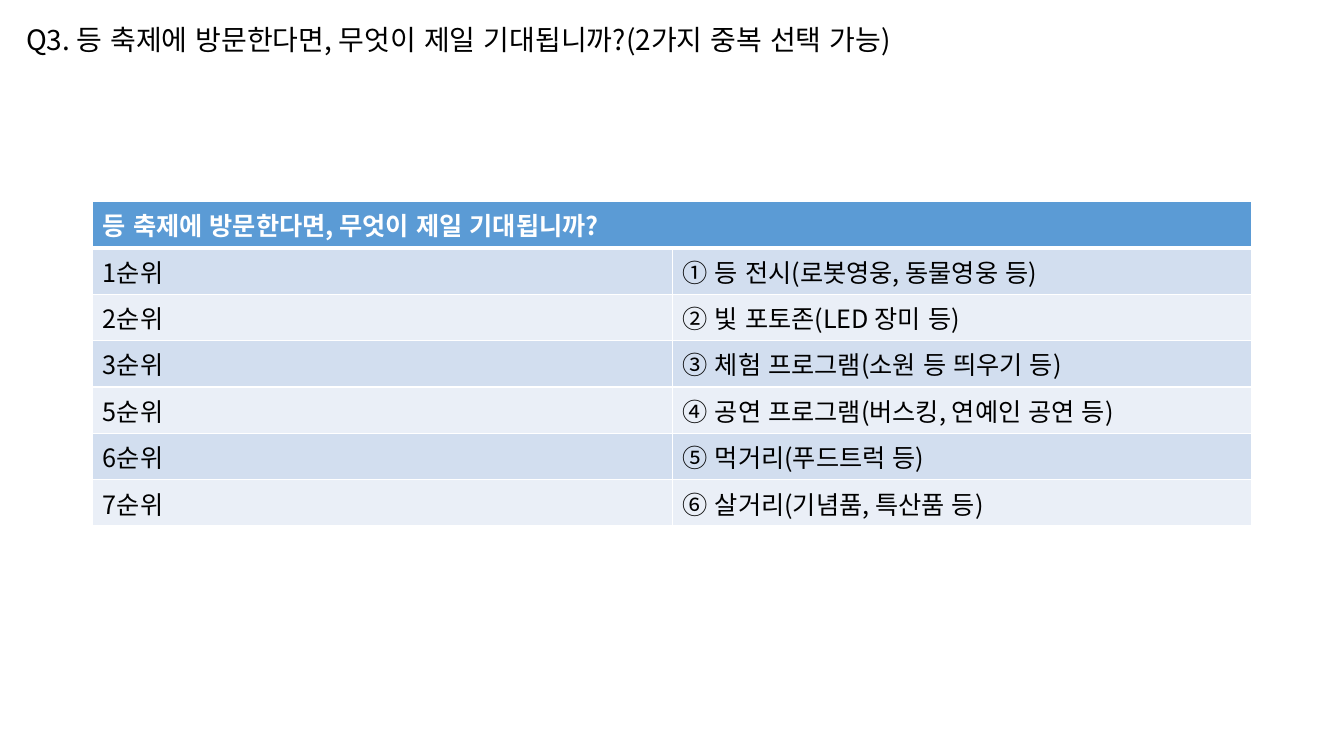
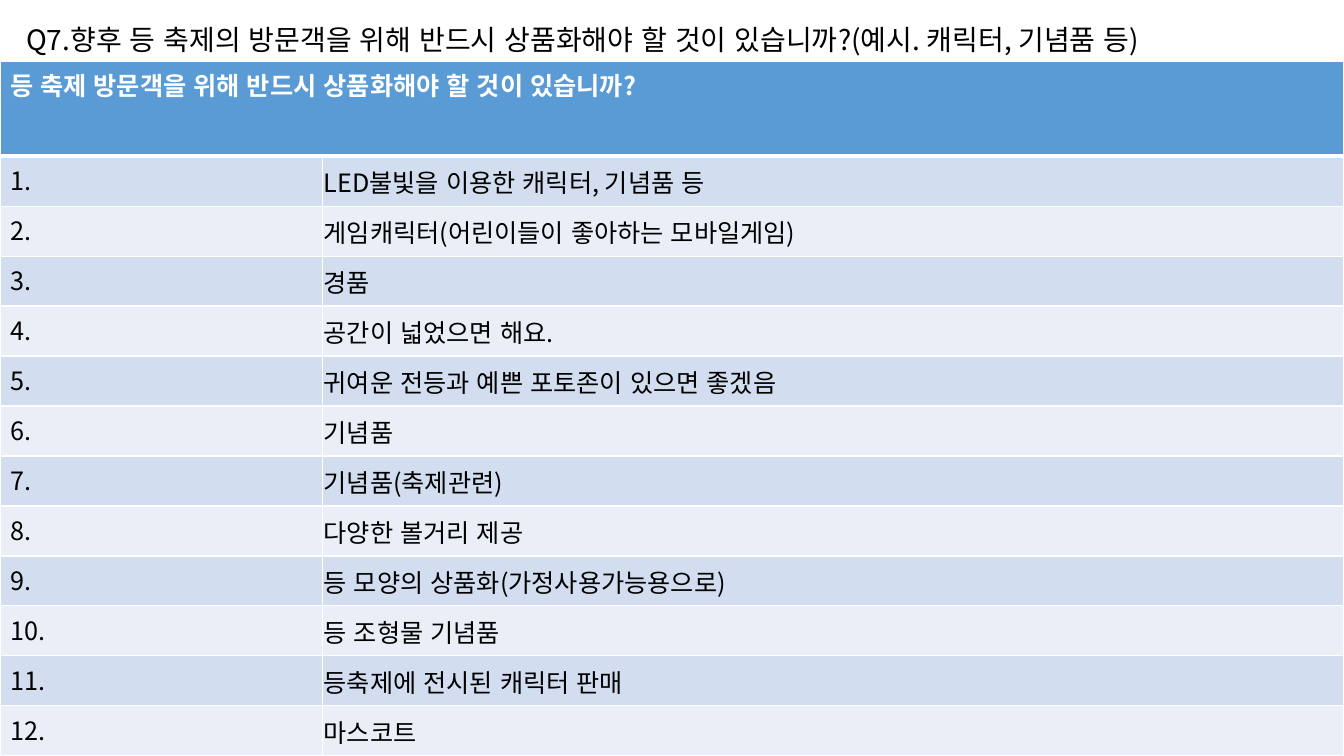
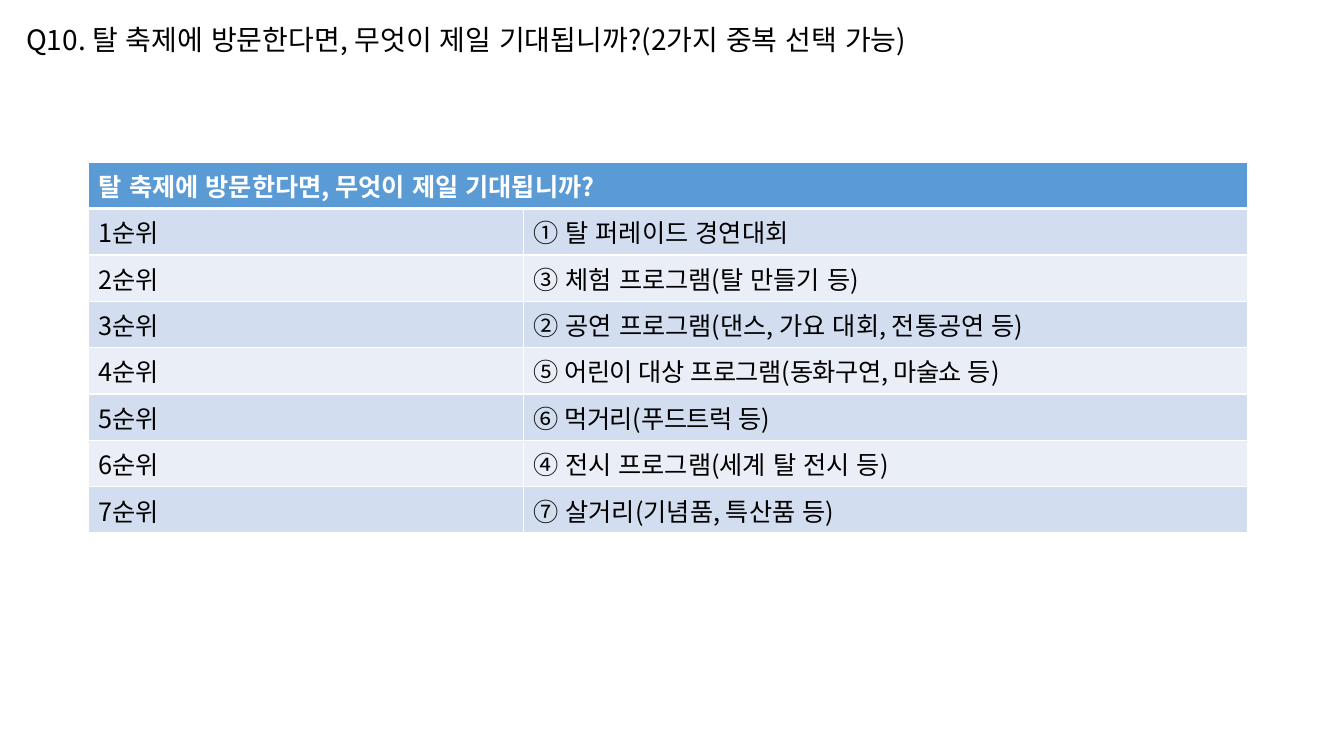
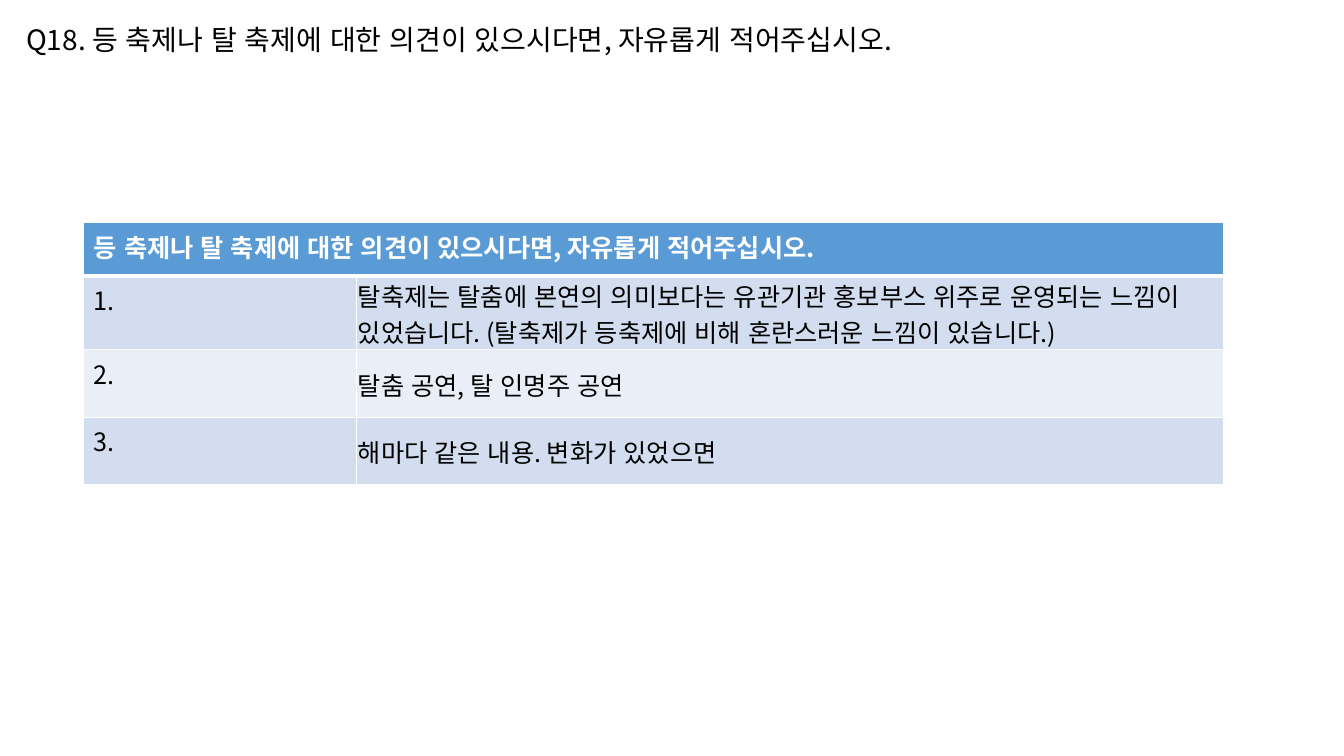
import pptx
import pptx.util
import pptx.dml.color
import pptx.enum.lang
import pptx.enum.text
import pptx.oxml
import pptx.oxml.ns
from dataclasses import dataclass

Inches, Pt = pptx.util.Inches, pptx.util.Pt
RGB = pptx.dml.color.RGBColor.from_string
ANCHOR = pptx.enum.text.MSO_ANCHOR
KOREAN = pptx.enum.lang.MSO_LANGUAGE_ID.KOREAN


@dataclass(frozen=True)
class Theme:
    font: str = "Noto Sans CJK KR"
    text: str = "000000"
    white: str = "FFFFFF"
    header: str = "5B9BD5"
    bands: tuple = ("D2DEEF", "EAEFF7")
    title_size: int = 20
    table_size: int = 18
    thin: int = 1
    thick: int = 3
    tight: float = -0.4


THEME = Theme()

# Content: a cell given as a pair is (tightly spaced text, normal text).
# Ranked answers use normal cells; opinions use compact, middle-anchored ones.
# Heights are those of the header, the first answer and the other answers.
SLIDES = [
    dict(
        title="Q3. 등 축제에 방문한다면, 무엇이 제일 기대됩니까?(2가지 중복 선택 가능)",
        title_width=9.61,
        header="등 축제에 방문한다면, 무엇이 제일 기대됩니까?",
        at=(0.92, 2), cols=(5.75, 5.74), heights=(0.46, 0.46, 0.46), compact=False,
        rows=[
            ("1순위", "① 등 전시(로봇영웅, 동물영웅 등)"),
            ("2순위", "② 빛 포토존(LED 장미 등)"),
            ("3순위", "③ 체험 프로그램(소원 등 띄우기 등)"),
            ("5순위", "④ 공연 프로그램(버스킹, 연예인 공연 등)"),
            ("6순위", "⑤ 먹거리(푸드트럭 등)"),
            ("7순위", "⑥ 살거리(기념품, 특산품 등)"),
        ],
    ),
    dict(
        title="Q7.향후 등 축제의 방문객을 위해 반드시 상품화해야 할 것이 있습니까?(예시. 캐릭터, 기념품 등)",
        title_width=12.25,
        header="등 축제 방문객을 위해 반드시 상품화해야 할 것이 있습니까?",
        at=(0, 0.61), cols=(3.2, 10.13),
        heights=(0.94, (6.89 - 0.94) / 12, (6.89 - 0.94) / 12), compact=True,
        rows=[
            ("1.", "LED불빛을 이용한 캐릭터, 기념품 등"),
            ("2.", "게임캐릭터(어린이들이 좋아하는 모바일게임)"),
            ("3.", "경품"),
            ("4.", "공간이 넓었으면 해요."),
            ("5.", "귀여운 전등과 예쁜 포토존이 있으면 좋겠음"),
            ("6.", "기념품"),
            ("7.", "기념품(축제관련)"),
            ("8.", "다양한 볼거리 제공"),
            ("9.", "등 모양의 상품화(가정사용가능용으로)"),
            ("10.", "등 조형물 기념품"),
            ("11.", "등축제에 전시된 캐릭터 판매"),
            ("12.", "마스코트"),
        ],
    ),
    dict(
        title="Q10. 탈 축제에 방문한다면, 무엇이 제일 기대됩니까?(2가지 중복 선택 가능)",
        title_width=9.76,
        header="탈 축제에 방문한다면, 무엇이 제일 기대됩니까?",
        at=(0.88, 1.61), cols=(4.31, 7.18), heights=(0.46, 0.46, 0.46), compact=False,
        rows=[
            ("1순위", "① 탈 퍼레이드 경연대회"),
            ("2순위", "③ 체험 프로그램(탈 만들기 등)"),
            ("3순위", "② 공연 프로그램(댄스, 가요 대회, 전통공연 등)"),
            ("4순위", ("⑤ 어린이 대상 프로그램(동화구연, 마술쇼 등)", "")),
            ("5순위", ("⑥ 먹거리(푸드트럭 등)", "")),
            ("6순위", ("④ ", "전시 프로그램(세계 탈 전시 등)")),
            ("7순위", "⑦ 살거리(기념품, 특산품 등)"),
        ],
    ),
    dict(
        title="Q18. 등 축제나 탈 축제에 대한 의견이 있으시다면, 자유롭게 적어주십시오.",
        title_width=9.65,
        header="등 축제나 탈 축제에 대한 의견이 있으시다면, 자유롭게 적어주십시오.",
        at=(0.83, 2.21), cols=(2.71, 8.6), heights=(0.53, 0.73, 0.67), compact=True,
        rows=[
            ("1.", "탈축제는 탈춤에 본연의 의미보다는 유관기관 홍보부스 위주로 운영되는 느낌이 "
                   "있었습니다. (탈축제가 등축제에 비해 혼란스러운 느낌이 있습니다.)"),
            ("2.", "탈춤 공연, 탈 인명주 공연"),
            ("3.", "해마다 같은 내용. 변화가 있었으면"),
        ],
    ),
]


def add_run(p, text, size, color, bold=False, spacing=0):
    r = p.add_run()
    r.text = text
    r.font.size, r.font.bold, r.font.name = Pt(size), bold, THEME.font
    r.font.color.rgb = RGB(color)
    r.font.language_id = KOREAN
    rPr = r._r.get_or_add_rPr()
    ea = pptx.oxml.parse_xml(
        f'<a:ea {pptx.oxml.ns.nsdecls("a")} typeface="{THEME.font}"/>')
    rPr.find(pptx.oxml.ns.qn("a:latin")).addnext(ea)
    if spacing:
        rPr.set("spc", str(round(spacing * 100)))


def add_title(s, text, width):
    sp = s.shapes.title
    sp.left, sp.top = Inches(0.16), Inches(0.17)
    sp.width, sp.height = Inches(width), Inches(0.44)
    tf = sp.text_frame
    tf.word_wrap = False
    tf.auto_size = pptx.enum.text.MSO_AUTO_SIZE.SHAPE_TO_FIT_TEXT
    tf.vertical_anchor = ANCHOR.TOP
    p = tf.paragraphs[0]
    p.alignment = pptx.enum.text.PP_ALIGN.LEFT
    add_run(p, text, THEME.title_size, THEME.text)


def style_cell(cell, row):
    """Fill and white borders, with a thick line below the header."""
    color = THEME.bands[(row - 1) % 2] if row else THEME.header
    cell.fill.solid()
    cell.fill.fore_color.rgb = RGB(color)
    widths = dict(L=THEME.thin, R=THEME.thin,
                  T=THEME.thick if row == 1 else THEME.thin,
                  B=THEME.thin if row else THEME.thick)
    tcPr = cell._tc.get_or_add_tcPr()
    for i, (side, width) in enumerate(widths.items()):
        tcPr.insert(i, pptx.oxml.parse_xml(
            f'<a:ln{side} {pptx.oxml.ns.nsdecls("a")} w="{Pt(width)}">'
            f'<a:solidFill><a:srgbClr val="{THEME.white}"/></a:solidFill>'
            f'</a:ln{side}>'))


def add_answers(s, header, at, cols, heights, compact, rows):
    head_height, first_height, other_height = heights
    row_heights = [head_height, first_height] + [other_height] * (len(rows) - 1)
    left, top = at
    table = s.shapes.add_table(
        len(row_heights), len(cols), Inches(left), Inches(top),
        Inches(sum(cols)), Inches(sum(row_heights))).table
    table.horz_banding = False
    for column, width in zip(table.columns, cols):
        column.width = Inches(width)
    for i, (row, height) in enumerate(zip(table.rows, row_heights)):
        row.height = Inches(height)
        for cell in row.cells:
            style_cell(cell, i)

    # Header across both columns
    head = table.cell(0, 0)
    head.merge(table.cell(0, len(cols) - 1))
    add_run(head.text_frame.paragraphs[0], header,
            THEME.table_size, THEME.white, bold=True)

    # Numbered answers
    for i, values in enumerate(rows, 1):
        for j, value in enumerate(values):
            cell = table.cell(i, j)
            if compact and j == 1:
                cell.vertical_anchor = ANCHOR.MIDDLE
                cell.margin_left = cell.margin_right = cell.margin_top = Inches(0.01)
                cell.margin_bottom = 0
            tight, normal = ("", value) if isinstance(value, str) else value
            p = cell.text_frame.paragraphs[0]
            for text, spacing in ((tight, THEME.tight), (normal, 0)):
                if text:
                    add_run(p, text, THEME.table_size, THEME.text, spacing=spacing)


def main():
    prs = pptx.Presentation()
    prs.slide_width, prs.slide_height = Inches(13.33), Inches(7.5)
    title_only = prs.slide_layouts[5]
    for content in SLIDES:
        s = prs.slides.add_slide(title_only)
        add_title(s, content["title"], content["title_width"])
        add_answers(s, content["header"], content["at"], content["cols"],
                    content["heights"], content["compact"], content["rows"])
    prs.save("out.pptx")


if __name__ == "__main__":
    main()
